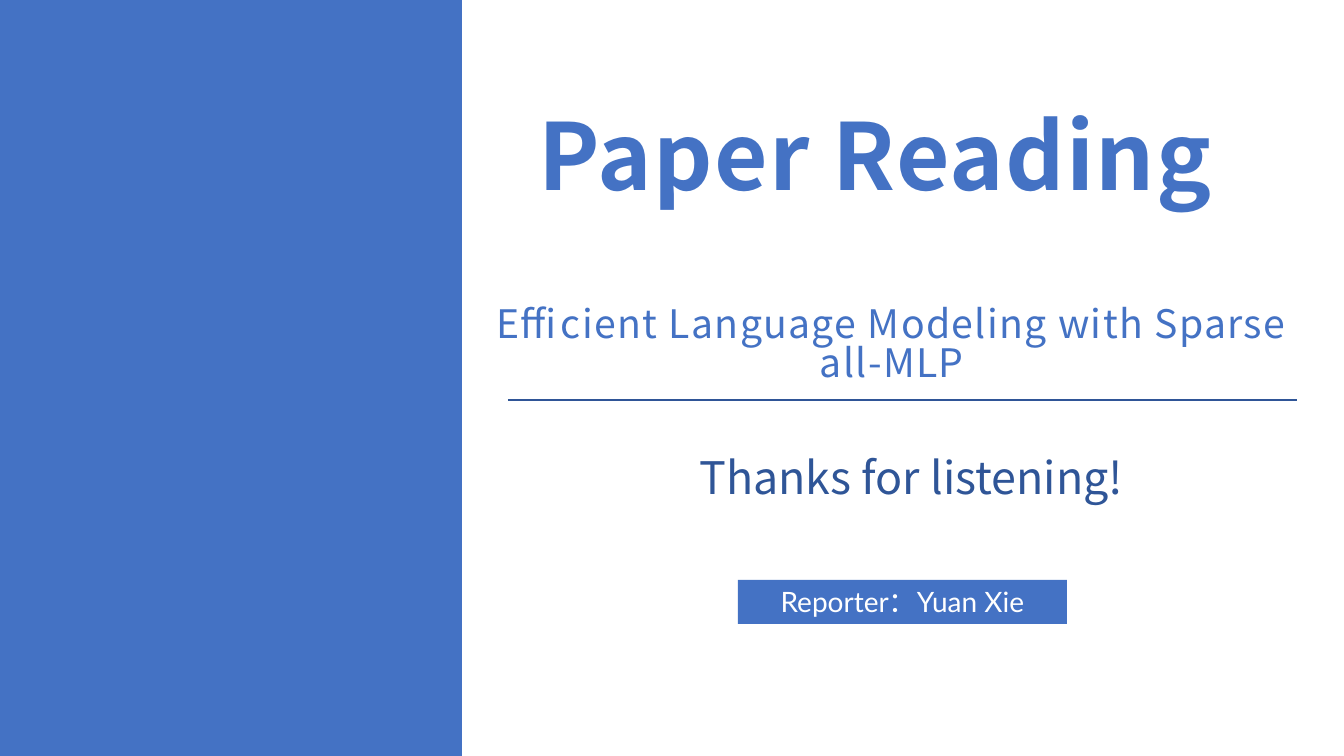
"""Builds the closing slide of a paper reading talk."""
from pptx import Presentation
from pptx.dml.color import RGBColor
from pptx.enum.shapes import MSO_CONNECTOR, MSO_SHAPE
from pptx.enum.text import MSO_ANCHOR, MSO_AUTO_SIZE, PP_ALIGN
from pptx.oxml.ns import qn
from pptx.util import Pt
from lxml import etree

RECT, LINE = MSO_SHAPE.RECTANGLE, MSO_CONNECTOR.STRAIGHT
TOP, MIDDLE = MSO_ANCHOR.TOP, MSO_ANCHOR.MIDDLE
CENTER, NO_FIT = PP_ALIGN.CENTER, MSO_AUTO_SIZE.NONE
BLUE = RGBColor(0x44, 0x72, 0xC4)
NAVY = RGBColor(0x2F, 0x55, 0x97)
WHITE = RGBColor(0xFF, 0xFF, 0xFF)
SANS, LATIN = "Noto Sans CJK SC", "Lato"
SLIDE_W, SLIDE_H = 1344, 756
SCALE = 12192000 / SLIDE_W

TITLE = "Paper Reading"
PAPER = "Efficient Language Modeling with Sparse all-MLP"
THANKS = "Thanks for listening!"
REPORTER = "Reporter：Yuan Xie"

TITLE_BOX = (487, 107, 777, 244)
PAPER_BOX = (486, 294, 812, 105)
THANKS_BOX = (499, 452, 825, 64)
REPORTER_BOX = (738, 580, 329, 44)
SIDE_PANEL = (0, 0, 462, SLIDE_H)
RULE = (508, 400, 1297, 400)


def emu(*pixels):
    return [round(v * SCALE) for v in pixels]


def write(sp, text, size, color, font=SANS, bold=False, spacing=0,
          line=0.88, anchor=TOP):
    tf = sp.text_frame
    tf.word_wrap, tf.auto_size, tf.vertical_anchor = True, NO_FIT, anchor
    p = tf.paragraphs[0]
    p.alignment, p.line_spacing = CENTER, line
    r = p.add_run()
    r.text = text
    r.font.size, r.font.name, r.font.bold = Pt(size), font, bold
    r.font.color.rgb = color
    if spacing:
        r._r.get_or_add_rPr().set("spc", str(spacing * 100))


def add_block(box):
    sp = s.shapes.add_shape(RECT, *emu(*box))
    sp.shadow.inherit = False
    sp.fill.solid()
    sp.fill.fore_color.rgb = BLUE
    sp.line.fill.background()
    return sp


prs = Presentation()
prs.slide_width, prs.slide_height = emu(SLIDE_W, SLIDE_H)
s = prs.slides.add_slide(prs.slide_layouts[5])

add_block(SIDE_PANEL)
title = s.shapes.title
title.left, title.top, title.width, title.height = emu(*TITLE_BOX)
write(title, TITLE, 66, BLUE, bold=True, spacing=1)

paper = s.shapes.add_textbox(*emu(*PAPER_BOX))
write(paper, PAPER, 28, BLUE, spacing=1, line=0.83, anchor=MIDDLE)

rule = s.shapes.add_connector(LINE, *emu(*RULE))
rule.line.color.rgb, rule.line.width = NAVY, Pt(1.5)
etree.SubElement(rule._element.spPr, qn("a:effectLst"))

write(add_block(REPORTER_BOX), REPORTER, 20, WHITE, font=LATIN, line=1.0)
write(s.shapes.add_textbox(*emu(*THANKS_BOX)), THANKS, 32, NAVY)

prs.save("out.pptx")
